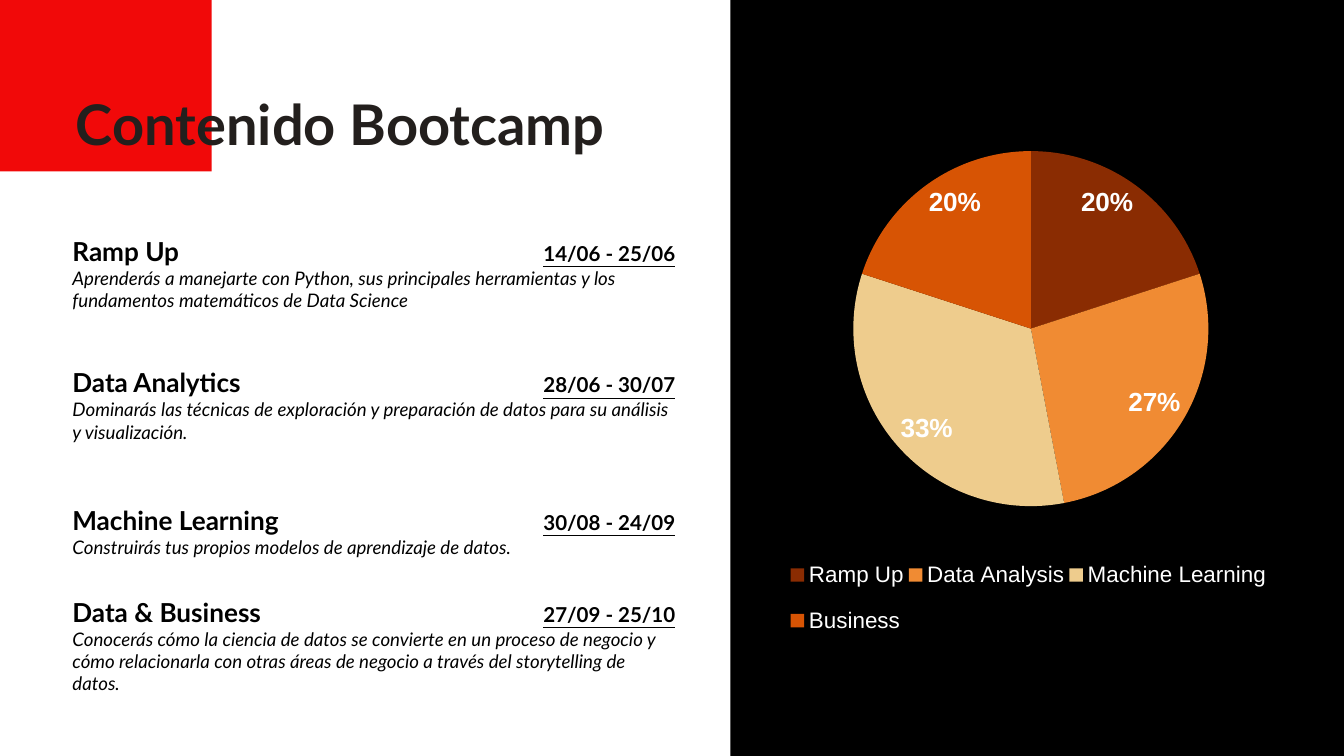
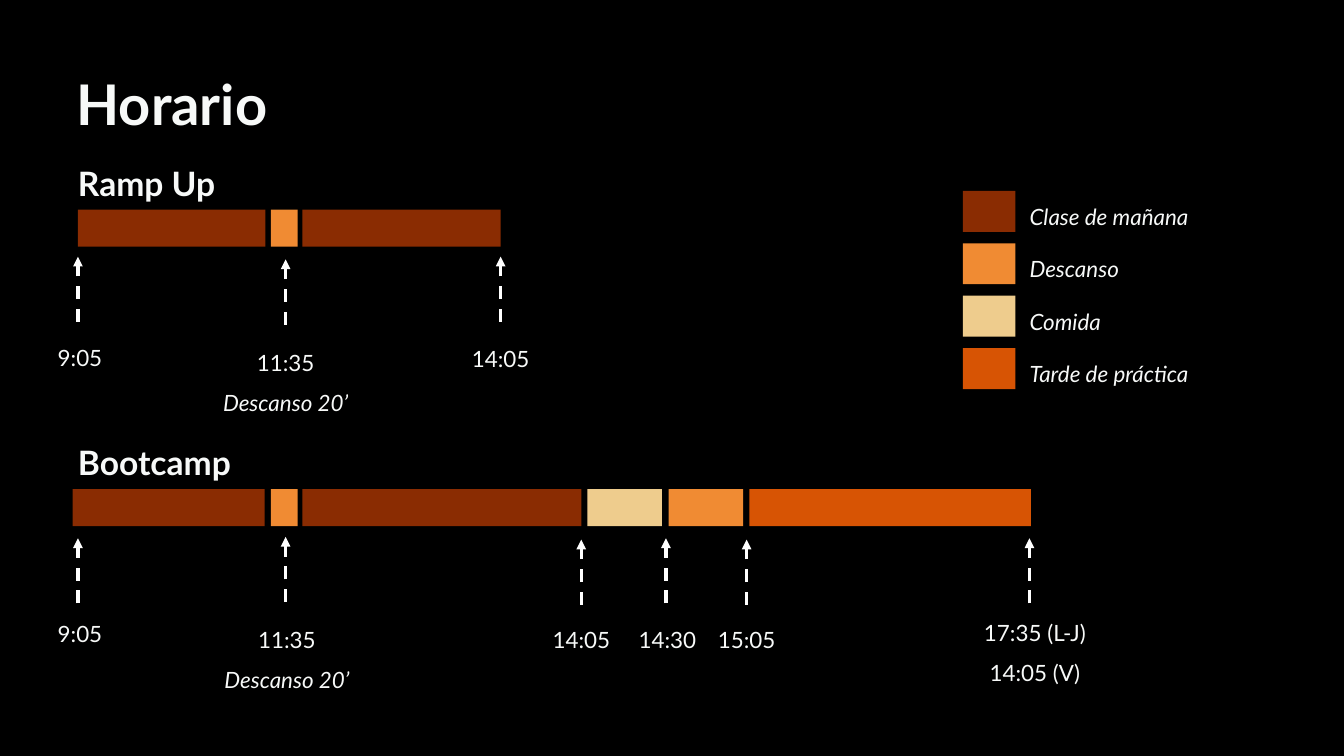
"""Build the bootcamp content and timetable slides."""
from dataclasses import dataclass

from lxml.etree import SubElement
from pptx import Presentation
from pptx.chart.chart import Chart
from pptx.chart.data import CategoryChartData
from pptx.dml.color import RGBColor
from pptx.enum.chart import XL_CHART_TYPE, XL_LABEL_POSITION, XL_LEGEND_POSITION
from pptx.enum.dml import MSO_LINE
from pptx.enum.shapes import MSO_CONNECTOR, MSO_SHAPE
from pptx.enum.text import MSO_ANCHOR, MSO_AUTO_SIZE, PP_ALIGN
from pptx.oxml.ns import qn
from pptx.slide import Slide
from pptx.text.text import Font, TextFrame
from pptx.util import Inches, Pt


@dataclass(frozen=True)
class Theme:
    """Colours, fonts and type sizes of the deck."""
    black: str = "000000"
    white: str = "FFFFFF"
    red: str = "F10909"
    ink: str = "231F1D"
    pale: str = "F7F9F8"
    brown: str = "8A2C02"
    orange: str = "F08B33"
    sand: str = "EECC8D"
    rust: str = "D75404"
    text_font: str = "Lato"
    chart_font: str = "Arial"
    title: int = 60
    heading: int = 36
    module: int = 28
    label: int = 24
    dates: int = 22
    summary: int = 20


THEME = Theme()


@dataclass(frozen=True)
class Box:
    """A rectangle in inches."""
    left: float
    top: float
    width: float
    height: float


@dataclass(frozen=True)
class Module:
    """A course module with its dates and summary."""
    top: float
    height: float
    name: str
    dates: str
    summary: str


@dataclass(frozen=True)
class Segment:
    """A coloured stretch of a timeline."""
    left: float
    width: float
    color: str


@dataclass(frozen=True)
class Mark:
    """An arrow with the time written below it."""
    x: float
    tip: float
    label_center: float
    label_top: float
    time: str
    note: str = ""
    note_italic: bool = True
    label_width: float = 2.05


@dataclass(frozen=True)
class Timeline:
    """A day plan with its heading, segments and marks."""
    heading: str
    heading_top: float
    bar_top: float
    segments: tuple[Segment, ...]
    marks: tuple[Mark, ...]


MODULES = (
    Module(3.45, 1.23, "Ramp Up", "14/06 - 25/06",
           "Aprenderás a manejarte con Python, sus principales herramientas y los "
           "fundamentos matemáticos de Data Science"),
    Module(5.41, 1.23, "Data Analytics", "28/06 - 30/07",
           "Dominarás las técnicas de exploración y preparación de datos para su "
           "análisis y visualización."),
    Module(7.46, 0.9, "Machine Learning", "30/08 - 24/09",
           "Construirás tus propios modelos de aprendizaje de datos."),
    Module(8.82, 1.58, "Data & Business", "27/09 - 25/10",
           "Conocerás cómo la ciencia de datos se convierte en un proceso de negocio "
           "y cómo relacionarla con otras áreas de negocio a través del storytelling "
           "de datos."),
)

SHARES = (
    ("Ramp Up", 20, THEME.brown),
    ("Data Analysis", 27, THEME.orange),
    ("Machine Learning", 33, THEME.sand),
    ("Business", 20, THEME.rust),
)

TIMELINES = (
    Timeline(
        "Ramp Up", 2.13, 3.12,
        (Segment(1.16, 2.79, THEME.brown), Segment(4.03, 0.4, THEME.orange),
         Segment(4.5, 2.95, THEME.brown)),
        (Mark(1.16, 3.82, 1.19, 4.92, "9:05"),
         Mark(4.25, 3.86, 4.25, 4.99, "11:35", "Descanso 20’"),
         Mark(7.45, 3.82, 7.45, 4.93, "14:05"))),
    Timeline(
        "Bootcamp", 6.28, 7.28,
        (Segment(1.08, 2.86, THEME.brown), Segment(4.03, 0.4, THEME.orange),
         Segment(4.5, 4.15, THEME.brown), Segment(8.74, 1.11, THEME.sand),
         Segment(9.95, 1.11, THEME.orange), Segment(11.15, 4.19, THEME.rust)),
        (Mark(1.16, 8.01, 1.19, 9.03, "9:05"),
         Mark(4.25, 7.99, 4.27, 9.11, "11:35", "Descanso 20’"),
         Mark(8.65, 8.03, 8.65, 9.12, "14:05"),
         Mark(9.91, 8.01, 9.93, 9.11, "14:30"),
         Mark(11.11, 8.03, 11.11, 9.11, "15:05"),
         Mark(15.32, 8.01, 15.4, 9.01, "17:35 (L-J)", "14:05 (V)", False, 2.8))),
)

ACTIVITIES = (
    ("Clase de mañana", THEME.brown),
    ("Descanso", THEME.orange),
    ("Comida", THEME.sand),
    ("Tarde de práctica", THEME.rust),
)


def inches(box: Box) -> tuple[Inches, ...]:
    """Return the box as four lengths."""
    return tuple(Inches(side) for side in (box.left, box.top, box.width, box.height))


def style(font: Font, size: int, color: str, bold: bool = False,
          italic: bool = False, name: str = THEME.text_font) -> None:
    """Format a font."""
    font.name, font.size = name, Pt(size)
    font.bold, font.italic = bold, italic
    font.color.rgb = RGBColor.from_string(color)


def prepare(frame: TextFrame, margins: bool = False) -> None:
    """Make a text frame wrap from its top edge."""
    frame.word_wrap = True
    frame.auto_size = MSO_AUTO_SIZE.NONE
    frame.vertical_anchor = MSO_ANCHOR.TOP
    if not margins:
        frame.margin_left = frame.margin_right = 0
        frame.margin_top = frame.margin_bottom = 0


def add_rect(slide: Slide, box: Box, color: str) -> None:
    """Draw a flat rectangle."""
    rect = slide.shapes.add_shape(MSO_SHAPE.RECTANGLE, *inches(box))
    rect.shadow.inherit = False
    rect.fill.solid()
    rect.fill.fore_color.rgb = RGBColor.from_string(color)
    rect.line.fill.background()


def set_title(slide: Slide, text: str, box: Box, color: str, spacing: float) -> None:
    """Place the title in front of what is drawn so far."""
    title = slide.shapes.title
    title.left, title.top, title.width, title.height = inches(box)
    prepare(title.text_frame)
    title.text_frame.text = text
    heading = title.text_frame.paragraphs[0]
    heading.alignment, heading.line_spacing = PP_ALIGN.LEFT, spacing
    style(heading.runs[0].font, THEME.title, color, bold=True)
    title.element.getparent().append(title.element)


def add_lines(slide: Slide, box: Box, lines: list[tuple[str, bool]], size: int,
              bold: bool = False, align: PP_ALIGN = PP_ALIGN.LEFT) -> None:
    """Write pale lines, each with its own italic setting."""
    frame = slide.shapes.add_textbox(*inches(box)).text_frame
    prepare(frame)
    frame.text = "\n".join(text for text, _ in lines)
    for paragraph, (_, italic) in zip(frame.paragraphs, lines):
        paragraph.alignment, paragraph.line_spacing = align, 1.5
        style(paragraph.runs[0].font, size, THEME.pale, bold, italic)


def add_module(slide: Slide, module: Module) -> None:
    """Write a module with its dates at a right tab stop."""
    box = Box(0.98, module.top, 9.2, module.height)
    frame = slide.shapes.add_textbox(*inches(box)).text_frame
    prepare(frame, margins=True)
    header = frame.paragraphs[0]
    for text, size in ((module.name + "\t", THEME.module), (module.dates, THEME.dates)):
        run = header.add_run()
        run.text = text
        style(run.font, size, THEME.black, bold=True)
    header.runs[1].font.underline = True
    stops = SubElement(header._p.get_or_add_pPr(), qn("a:tabLst"))
    SubElement(stops, qn("a:tab"), pos=str(Inches(8.97)), algn="r")
    summary = frame.add_paragraph()
    summary.text = module.summary
    style(summary.runs[0].font, THEME.summary, THEME.black, italic=True)


def set_layout(chart: Chart, part: str, position: int, area: Box, inner: bool) -> None:
    """Fix a chart part at fractions of the chart area."""
    owner = chart.element.find(".//" + qn(part))
    for former in owner.findall(qn("c:layout")):
        owner.remove(former)
    layout = owner.makeelement(qn("c:layout"), {})
    owner.insert(position, layout)
    manual = SubElement(layout, qn("c:manualLayout"))
    settings = [("layoutTarget", "inner")] if inner else []
    settings += [("xMode", "edge"), ("yMode", "edge"), ("x", area.left),
                 ("y", area.top), ("w", area.width), ("h", area.height)]
    for tag, value in settings:
        SubElement(manual, qn("c:" + tag), val=str(value))


def add_shares(slide: Slide) -> None:
    """Draw the pie of module shares."""
    data = CategoryChartData()
    data.categories = [name for name, _, _ in SHARES]
    data.add_series("Series 1", [share for _, share, _ in SHARES])
    chart = slide.shapes.add_chart(
        XL_CHART_TYPE.PIE, *inches(Box(11.3, 0.25, 7.77, 9.77)), data).chart
    chart.has_title = False
    style(chart.font, 10, THEME.black, name=THEME.chart_font)
    chart.has_legend = True
    chart.legend.position = XL_LEGEND_POSITION.BOTTOM
    chart.legend.include_in_layout = False
    style(chart.legend.font, THEME.label, THEME.white, name=THEME.chart_font)
    plot = chart.plots[0]
    plot.vary_by_categories = True
    for index, (_, _, color) in enumerate(SHARES):
        fill = plot.series[0].points[index].format.fill
        fill.solid()
        fill.fore_color.rgb = RGBColor.from_string(color)
    plot.has_data_labels = True
    labels = plot.data_labels
    labels.show_percentage, labels.show_value = True, False
    labels.number_format, labels.number_format_is_linked = "0%", False
    labels.position = XL_LABEL_POSITION.INSIDE_END
    style(labels.font, THEME.module, THEME.white, bold=True, name=THEME.chart_font)
    set_layout(chart, "c:plotArea", 0, Box(0.18, 0.13, 0.68, 0.69), inner=True)
    set_layout(chart, "c:legend", 1, Box(0.05, 0.8, 0.93, 0.17), inner=False)


def add_mark(slide: Slide, mark: Mark) -> None:
    """Draw a dashed arrow upwards and its time."""
    x = Inches(mark.x)
    arrow = slide.shapes.add_connector(
        MSO_CONNECTOR.STRAIGHT, x, Inches(mark.tip + 0.97), x, Inches(mark.tip))
    arrow.line.color.rgb = RGBColor.from_string(THEME.white)
    arrow.line.width = Pt(3.5)
    arrow.line.dash_style = MSO_LINE.DASH
    SubElement(arrow.line._get_or_add_ln(), qn("a:tailEnd"), type="triangle")
    SubElement(arrow.element.spPr, qn("a:effectLst"))
    lines = [(mark.time, False)]
    if mark.note:
        lines.append((mark.note, mark.note_italic))
    box = Box(mark.label_center - mark.label_width / 2, mark.label_top,
              mark.label_width, 0.57 * len(lines))
    add_lines(slide, box, lines, THEME.label, align=PP_ALIGN.CENTER)


def build_content(slide: Slide) -> None:
    """Build the slide of bootcamp modules."""
    add_rect(slide, Box(10.87, 0, 9.13, 11.25), THEME.black)
    add_rect(slide, Box(0, 0, 3.15, 2.55), THEME.red)
    set_title(slide, "Contenido Bootcamp", Box(1.13, 1.13, 8.5, 1.2), THEME.ink, 1.2)
    add_shares(slide)
    for module in MODULES:
        add_module(slide, module)


def build_timetable(slide: Slide) -> None:
    """Build the slide of daily timetables."""
    slide.background.fill.solid()
    slide.background.fill.fore_color.rgb = RGBColor.from_string(THEME.black)
    set_title(slide, "Horario", Box(1.14, 0.54, 3.96, 1.5), THEME.pale, 1.5)
    for timeline in TIMELINES:
        add_lines(slide, Box(1.16, timeline.heading_top, 3.44, 0.9),
                  [(timeline.heading, False)], THEME.heading, bold=True)
        for segment in timeline.segments:
            add_rect(slide, Box(segment.left, timeline.bar_top, segment.width, 0.55),
                     segment.color)
        for mark in timeline.marks:
            add_mark(slide, mark)
    for row, (activity, color) in enumerate(ACTIVITIES):
        top = 2.84 + 0.78 * row
        add_rect(slide, Box(14.33, top, 0.78, 0.61), color)
        add_lines(slide, Box(15.32, top - 0.02, 2.68, 0.6), [(activity, True)], THEME.label)


def main() -> None:
    """Build and save the deck."""
    deck = Presentation()
    deck.slide_width, deck.slide_height = Inches(20), Inches(11.25)
    for build in (build_content, build_timetable):
        build(deck.slides.add_slide(deck.slide_layouts[5]))
    deck.save("out.pptx")


if __name__ == "__main__":
    main()
